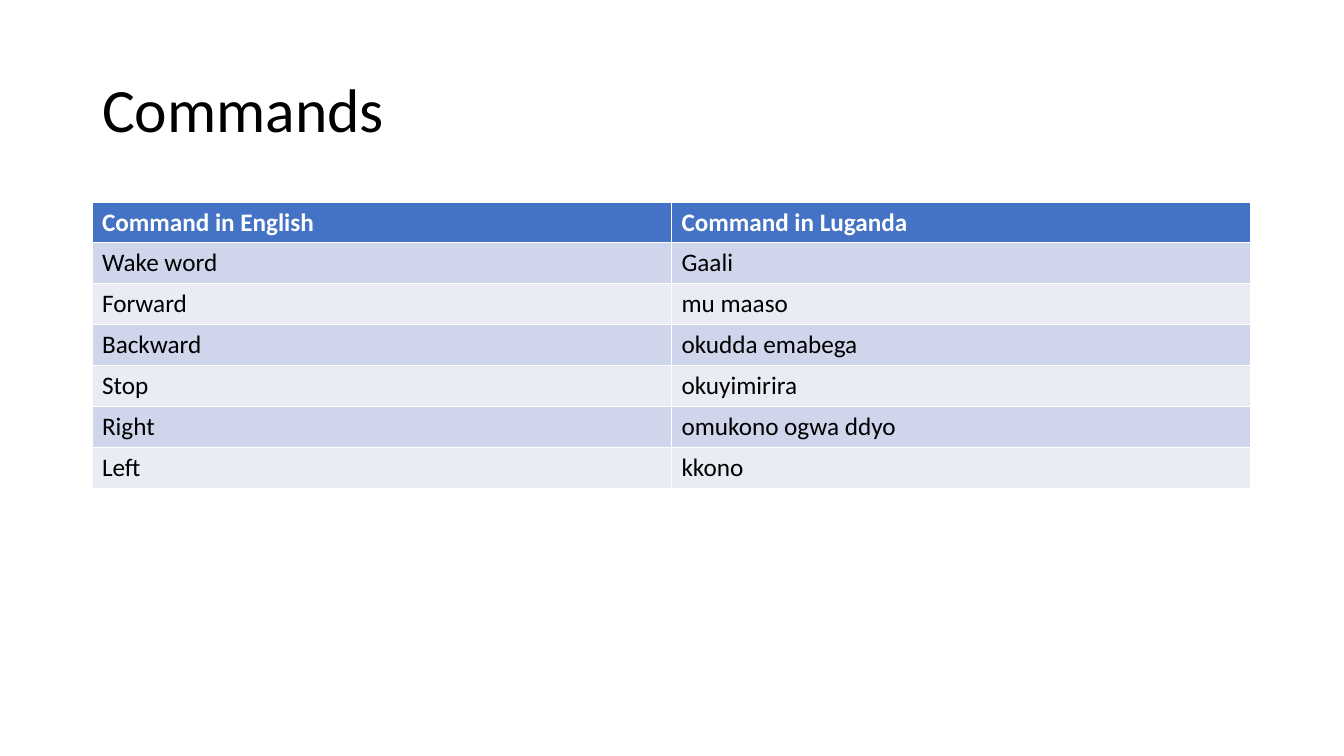
from pptx import Presentation
from pptx.dml.color import RGBColor
from pptx.enum.text import MSO_ANCHOR, PP_ALIGN
from pptx.util import Pt

HEADING = "Commands"
COMMANDS = [
    ("Command in English", "Command in Luganda"),
    ("Wake word", "Gaali"),
    ("Forward", "mu maaso"),
    ("Backward", "okudda emabega"),
    ("Stop", "okuyimirira"),
    ("Right", "omukono ogwa ddyo"),
    ("Left", "kkono"),
]

COLORS = {
    "text": "000000",
    "header_text": "FFFFFF",
    "header": "4472C4",
    "odd_row": "CFD5EA",
    "even_row": "E9EBF5",
}
FONT = "Calibri"
LEFT = PP_ALIGN.LEFT
MIDDLE = MSO_ANCHOR.MIDDLE
TITLE_ONLY = 5

SLIDE_SIZE = (1344, 756)
HEADING_BOX = (92, 40, 1159, 146)
COMMANDS_BOX = (92, 202, 1159, 286)


def px(length):
    return round(length * 914400 / 100.8)


def color(name):
    return RGBColor.from_string(COLORS[name])


def write(frame, text, size, color_name, bold=False):
    frame.text = text
    paragraph = frame.paragraphs[0]
    paragraph.alignment = LEFT
    font = paragraph.runs[0].font
    font.name = FONT
    font.size = Pt(size)
    font.bold = bold
    font.color.rgb = color(color_name)


def add_heading(slide):
    heading = slide.shapes.title
    heading.left, heading.top, heading.width, heading.height = map(px, HEADING_BOX)
    frame = heading.text_frame
    write(frame, HEADING, 44, "text")
    frame.vertical_anchor = MIDDLE
    frame.paragraphs[0].line_spacing = 0.9


def add_commands(slide):
    commands = slide.shapes.add_table(
        len(COMMANDS), len(COMMANDS[0]), *map(px, COMMANDS_BOX)
    ).table
    for row, words in enumerate(COMMANDS):
        is_header = row == 0
        fill = "header" if is_header else "odd_row" if row % 2 else "even_row"
        text_color = "header_text" if is_header else "text"
        for column, word in enumerate(words):
            cell = commands.cell(row, column)
            cell.fill.solid()
            cell.fill.fore_color.rgb = color(fill)
            write(cell.text_frame, word, 18, text_color, is_header)


def main():
    deck = Presentation()
    deck.slide_width, deck.slide_height = map(px, SLIDE_SIZE)
    slide = deck.slides.add_slide(deck.slide_layouts[TITLE_ONLY])
    add_heading(slide)
    add_commands(slide)
    deck.save("out.pptx")


if __name__ == "__main__":
    main()
